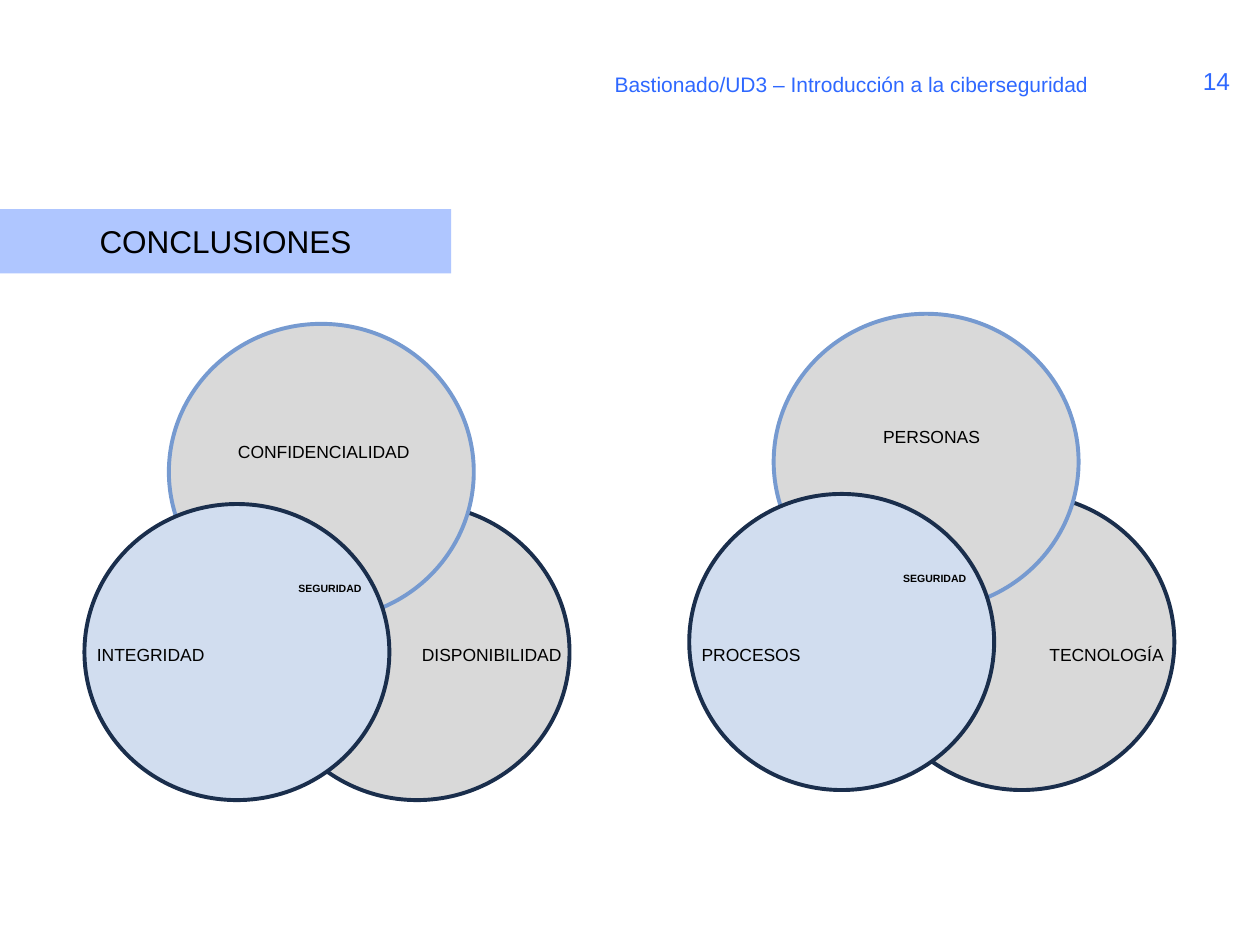
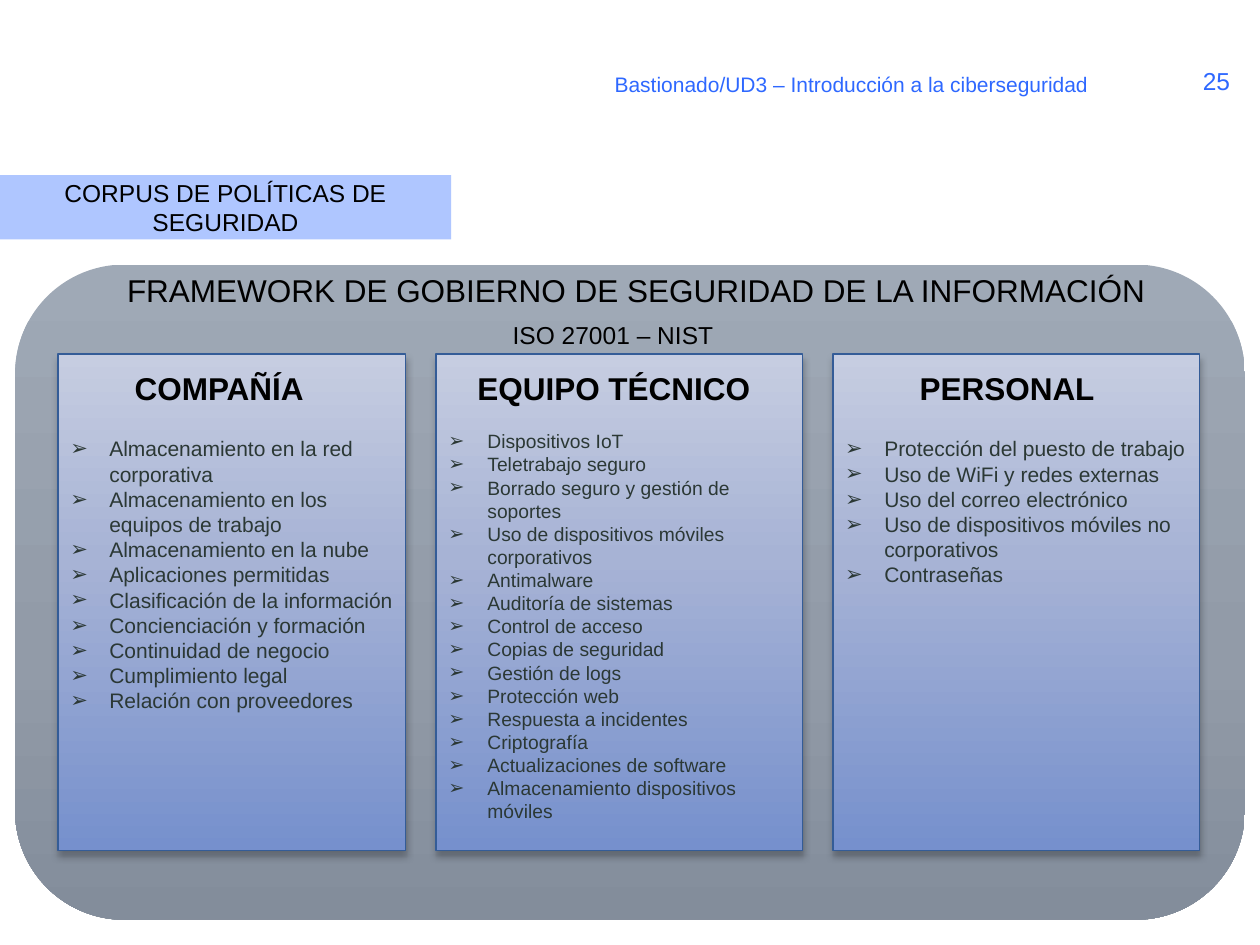
import pptx
import pptx.dml.color
import pptx.enum.shapes
import pptx.enum.text
import pptx.oxml
import pptx.oxml.ns
import pptx.util
from dataclasses import dataclass
from lxml import etree

Inches = pptx.util.Inches
Pt = pptx.util.Pt
SHAPE = pptx.enum.shapes.MSO_SHAPE
ALIGN = pptx.enum.text.PP_ALIGN
ANCHOR = pptx.enum.text.MSO_ANCHOR
qn = pptx.oxml.ns.qn


@dataclass(frozen=True)
class Theme:
    font: str = "Arial"
    ink: str = "000000"
    accent: str = "2E68FF"
    band: str = "AFC6FF"
    body: str = "2B3835"
    grey: str = "D9D9D9"
    pale_blue: str = "D1DDEF"
    navy: str = "1A2E4C"
    sky: str = "769AD0"
    card_line: str = "345C97"
    panel_stops: tuple = ((0, "9FA9B6"), (60, "929BA8"), (100, "838D9B"))
    card_stops: tuple = ((0, "C6CDE1"), (41, "A7B3D5"), (100, "7690CD"))
    heading: int = 18
    subheading: int = 14
    text: int = 12
    dense: int = 11
    label: int = 10
    tiny: int = 6


T = Theme()


def rgb(value):
    return pptx.dml.color.RGBColor.from_string(value)


def style_font(font, size, color, bold=False):
    for name, value in {"name": T.font, "size": Pt(size), "bold": bold}.items():
        setattr(font, name, value)
    font.color.rgb = rgb(color)


def set_frame(tf, anchor=ANCHOR.TOP, top=0.05):
    formats = {
        "word_wrap": True,
        "vertical_anchor": anchor,
        "margin_left": Inches(0.1),
        "margin_right": Inches(0.1),
        "margin_top": Inches(top),
        "margin_bottom": Inches(0.05),
    }
    for name, value in formats.items():
        setattr(tf, name, value)


def write(tf, text, size, color=T.ink, bold=False, align=ALIGN.LEFT, anchor=ANCHOR.TOP):
    set_frame(tf, anchor)
    p = tf.paragraphs[0]
    p.alignment = align
    r = p.add_run()
    r.text = text
    style_font(r.font, size, color, bold)


def add_text(shapes, box, text, size, **formats):
    sp = shapes.add_textbox(*map(Inches, box))
    write(sp.text_frame, text, size, **formats)


def add_shape(shapes, kind, box, fill=None, line=None, width=1):
    sp = shapes.add_shape(kind, *map(Inches, box))
    sp.shadow.inherit = False
    if fill:
        sp.fill.solid()
        sp.fill.fore_color.rgb = rgb(fill)
    if line:
        sp.line.color.rgb = rgb(line)
        sp.line.width = Pt(width)
    else:
        sp.line.fill.background()
    return sp


def add_gradient(sp, stops):
    """Fill from top to bottom with (percent, colour) stops."""
    sp.fill.gradient()
    sp.fill.gradient_angle = 270
    stop_list = sp._element.spPr.find(".//" + qn("a:gsLst"))
    for stop in list(stop_list):
        stop_list.remove(stop)
    for percent, color in stops:
        stop = etree.SubElement(stop_list, qn("a:gs"), pos=str(percent * 1000))
        etree.SubElement(stop, qn("a:srgbClr"), val=color)


def add_shadow(sp, blur=4, distance=3, opacity=28):
    effects = sp._element.spPr.find(qn("a:effectLst"))
    shadow = etree.SubElement(
        effects, qn("a:outerShdw"), blurRad=str(Pt(blur)), dist=str(Pt(distance)),
        dir="5400000", rotWithShape="0")
    color = etree.SubElement(shadow, qn("a:srgbClr"), val="000000")
    etree.SubElement(color, qn("a:alpha"), val=str(opacity * 1000))


def add_bullet(p, indent=0.31):
    pPr = p._p.get_or_add_pPr()
    pPr.set("marL", str(Inches(indent)))
    pPr.set("indent", str(-Inches(indent)))
    etree.SubElement(pPr, qn("a:buFont"), typeface=T.font)
    etree.SubElement(pPr, qn("a:buChar"), char="➢")


def add_header(s, number):
    add_text(s.shapes, (9.33, 0.44, 0.65, 0.4), str(number), T.subheading,
             color=T.accent, align=ALIGN.CENTER, anchor=ANCHOR.MIDDLE)
    add_text(s.shapes, (4.78, 0.52, 4.13, 0.33),
             "Bastionado/UD3 – Introducción a la ciberseguridad", T.text, color=T.accent)


def add_title_band(s, top, title, size):
    sp = add_shape(s.shapes, SHAPE.RECTANGLE, (0, top, 3.58, 0.51), T.band)
    write(sp.text_frame, title, size, align=ALIGN.CENTER, anchor=ANCHOR.MIDDLE)


def add_venn(s, left, top, labels):
    """Place three overlapping circles and labels given as (dx, dy, text)."""
    shapes = s.shapes.add_group_shape().shapes
    circles = ((1.43, 1.43, T.grey, T.navy), (0.67, 0, T.grey, T.sky),
               (0, 1.43, T.pale_blue, T.navy))
    for dx, dy, fill, line in circles:
        add_shape(shapes, SHAPE.OVAL, (left + dx, top + dy, 2.42, 2.35), fill, line, 2.25)
    for dx, dy, text in labels:
        add_text(shapes, (left + dx, top + dy, 1.75, 0.27), text, T.label)
    add_text(shapes, (left + 1.6, top + 2, 1.75, 0.2), "SEGURIDAD", T.tiny, bold=True)


def add_card(s, box, items, size):
    sp = add_shape(s.shapes, SHAPE.RECTANGLE, box, line=T.card_line)
    add_gradient(sp, T.card_stops)
    add_shadow(sp)
    tf = sp.text_frame
    set_frame(tf, top=0.05 * (size + 1))
    for i, item in enumerate(items):
        p = tf.add_paragraph() if i else tf.paragraphs[0]
        p.alignment = ALIGN.LEFT
        add_bullet(p)
        r = p.add_run()
        r.text = item
        style_font(r.font, size, T.body)


def add_framework(s, left, top):
    panel = add_shape(s.shapes, SHAPE.ROUNDED_RECTANGLE, (left, top, 9.76, 5.2))
    add_gradient(panel, T.panel_stops)
    for dx, width, title_dx, title, size, items in POLICIES:
        add_card(s, (left + dx, top + 0.71, width, 3.94), items, size)
        add_text(s.shapes, (left + title_dx, top + 0.78, 2.52, 0.4), title,
                 T.heading, bold=True)
    add_text(s.shapes, (left + 0.79, top, 8.35, 0.4),
             "FRAMEWORK DE GOBIERNO DE SEGURIDAD DE LA INFORMACIÓN", T.heading)
    add_text(s.shapes, (left + 3.85, top + 0.39, 1.81, 0.34), "ISO 27001 – NIST",
             T.subheading)


POLICIES = (
    (0.34, 2.76, 0.85, "COMPAÑÍA", T.text, (
        "Almacenamiento en la red corporativa",
        "Almacenamiento en los equipos de trabajo",
        "Almacenamiento en la nube",
        "Aplicaciones permitidas",
        "Clasificación de la información",
        "Concienciación y formación",
        "Continuidad de negocio",
        "Cumplimiento legal",
        "Relación con proveedores")),
    (3.34, 2.91, 3.57, "EQUIPO TÉCNICO", T.dense, (
        "Dispositivos IoT",
        "Teletrabajo seguro",
        "Borrado seguro y gestión de soportes",
        "Uso de dispositivos móviles corporativos",
        "Antimalware",
        "Auditoría de sistemas",
        "Control de acceso",
        "Copias de seguridad",
        "Gestión de logs",
        "Protección web",
        "Respuesta a incidentes",
        "Criptografía",
        "Actualizaciones de software",
        "Almacenamiento dispositivos móviles")),
    (6.49, 2.91, 7.08, "PERSONAL", T.text, (
        "Protección del puesto de trabajo",
        "Uso de WiFi y redes externas",
        "Uso del correo electrónico",
        "Uso de dispositivos móviles no corporativos",
        "Contraseñas")),
)


def build_conclusions(s):
    add_header(s, 14)
    add_title_band(s, 1.66, "CONCLUSIONES", T.heading)
    add_venn(s, 0.67, 2.57, ((1.12, 0.88, "CONFIDENCIALIDAD"), (0, 2.49, "INTEGRIDAD"),
                             (2.58, 2.49, "DISPONIBILIDAD")))
    add_venn(s, 5.47, 2.49, ((1.44, 0.84, "PERSONAS"), (0, 2.57, "PROCESOS"),
                             (2.76, 2.57, "TECNOLOGÍA")))


def build_policies(s):
    add_header(s, 25)
    add_title_band(s, 1.39, "CORPUS DE POLÍTICAS DE SEGURIDAD", T.subheading)
    add_framework(s, 0.12, 2.1)


def main():
    prs = pptx.Presentation()
    prs.slide_width = Inches(10)
    prs.slide_height = Inches(7.5)
    for build in (build_conclusions, build_policies):
        build(prs.slides.add_slide(prs.slide_layouts[6]))
    prs.save("out.pptx")


if __name__ == "__main__":
    main()
